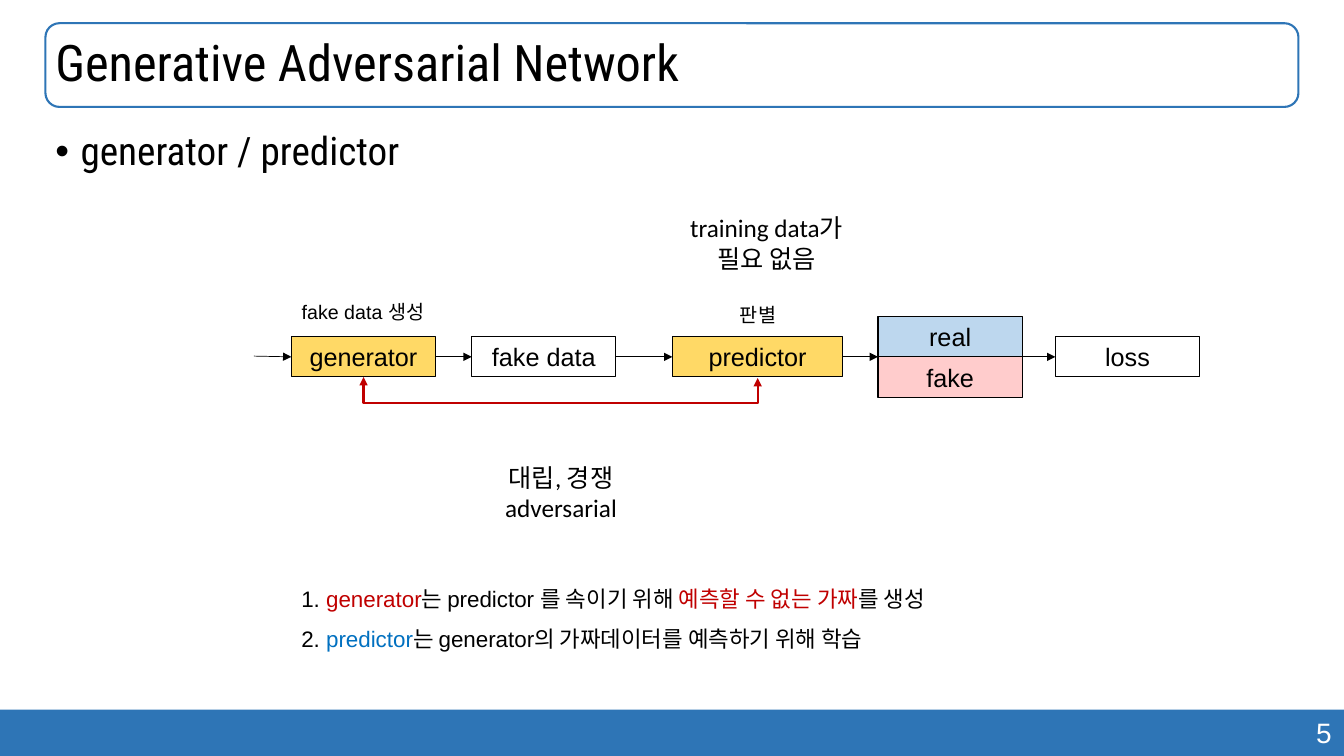
import lxml.etree
import pptx
import pptx.util
import pptx.dml.color
import pptx.enum.shapes
import pptx.enum.text
import pptx.oxml.ns

RGBColor = pptx.dml.color.RGBColor
BLACK = RGBColor(0x00, 0x00, 0x00)
WHITE = RGBColor(0xFF, 0xFF, 0xFF)
NAVY = RGBColor(0x2E, 0x75, 0xB6)
GOLD = RGBColor(0xFF, 0xD9, 0x66)
SKY = RGBColor(0xBD, 0xD7, 0xEE)
PINK = RGBColor(0xFF, 0xCC, 0xCC)
RED = RGBColor(0xC0, 0x00, 0x00)
BLUE = RGBColor(0x00, 0x70, 0xC0)

SHAPE = pptx.enum.shapes.MSO_SHAPE
LINK = pptx.enum.shapes.MSO_CONNECTOR
ALIGN = pptx.enum.text.PP_ALIGN
ANCHOR = pptx.enum.text.MSO_ANCHOR
TOP, LEFT, BOTTOM, RIGHT = range(4)

# The slide is a grid of 100 columns by 100 rows
WIDE = pptx.util.Inches(13.333)
HIGH = pptx.util.Inches(7.5)


def col(n):
    return int(WIDE * n / 100)


def row(n):
    return int(HIGH * n / 100)


def place(box):
    x, y, w, h = box
    return col(x), row(y), col(w), row(h)


def add_mark(parent, tag, **attrs):
    lxml.etree.SubElement(parent, pptx.oxml.ns.qn(tag), attrs)


def write(frame, paras, size=18, font="Arial", color=BLACK, align=ALIGN.LEFT,
          anchor=ANCHOR.TOP, space=None, bullet=None):
    """Each paragraph is a string or a list of (text, color) runs."""
    frame.word_wrap = True
    frame.vertical_anchor = anchor
    for i, runs in enumerate(paras):
        para = frame.add_paragraph() if i else frame.paragraphs[0]
        if bullet:
            props = para._p.get_or_add_pPr()
            props.set("marL", str(pptx.util.Inches(0.25)))
            props.set("indent", str(-pptx.util.Inches(0.25)))
            add_mark(props, "a:buFont", typeface="Arial")
            add_mark(props, "a:buChar", char=bullet)
        para.alignment = align
        if space:
            para.line_spacing = space
        for text, tint in [(runs, color)] if isinstance(runs, str) else runs:
            run = para.add_run()
            run.text = text
            run.font.size = pptx.util.Pt(size)
            run.font.name = font
            run.font.color.rgb = tint


def add_text(slide, box, *paras, **look):
    write(slide.shapes.add_textbox(*place(box)).text_frame, paras, **look)


def add_box(slide, box, kind=SHAPE.RECTANGLE, fill=None, line=None, width=0.75):
    shape = slide.shapes.add_shape(kind, *place(box))
    shape.shadow.inherit = False
    if fill is None:
        shape.fill.background()
    else:
        shape.fill.solid()
        shape.fill.fore_color.rgb = fill
    if line is None:
        shape.line.fill.background()
    else:
        shape.line.color.rgb = line
        shape.line.width = pptx.util.Pt(width)
    return shape


def add_node(slide, box, text, fill=None):
    node = add_box(slide, box, fill=fill, line=BLACK)
    write(node.text_frame, [text], align=ALIGN.CENTER)
    return node


def add_link(slide, start, end, kind=LINK.STRAIGHT, color=BLACK, width=0.5, both=False):
    """Each end is a (shape, side) pair or a (column, row) point."""
    link = slide.shapes.add_connector(kind, 0, 0, 0, 0)
    if isinstance(start[0], (int, float)):
        link.begin_x, link.begin_y = col(start[0]), row(start[1])
    else:
        link.begin_connect(*start)
    if isinstance(end[0], (int, float)):
        link.end_x, link.end_y = col(end[0]), row(end[1])
    else:
        link.end_connect(*end)
    link.line.color.rgb = color
    link.line.width = pptx.util.Pt(width)
    outline = link.line._get_or_add_ln()
    if both:
        add_mark(outline, "a:headEnd", type="triangle")
    add_mark(outline, "a:tailEnd", type="triangle")
    add_mark(link._element.spPr, "a:effectLst")
    return link


def add_loop(slide, first, last):
    """Join the bottoms of two nodes with a U-shaped double arrow."""
    loop = add_link(slide, (first, BOTTOM), (last, BOTTOM), LINK.ELBOW, RED, 1.5, True)
    span = last.left + last.width // 2 - first.left - first.width // 2
    mid = first.left + first.width // 2 + span // 2
    base = first.top + first.height
    thin, drop = pptx.util.Inches(0.01), pptx.util.Inches(0.26)
    # A quarter turn makes the bend run below both ends
    loop.left, loop.top = mid - thin // 2, base + thin // 2 - span // 2
    loop.width, loop.height = thin, span
    frame = loop._element.spPr.find(pptx.oxml.ns.qn("a:xfrm"))
    for flip in ("flipH", "flipV"):
        frame.attrib.pop(flip, None)
    frame.set("rot", str(270 * 60000))
    frame.set("flipH", "1")
    geom = loop._element.spPr.find(pptx.oxml.ns.qn("a:prstGeom"))
    guides = geom.find(pptx.oxml.ns.qn("a:avLst"))
    add_mark(guides, "a:gd", name="adj1", fmla=f"val {100000 * drop // thin}")


def draw_foot(slide, box):
    x, y, w, h = box
    add_box(slide, box, fill=NAVY)
    add_text(slide, (x + 70.58, y + 0.13, w - 70.75, h - 0.26), "5",
             size=20, color=WHITE, align=ALIGN.RIGHT)


def draw_head(slide, box):
    add_box(slide, box, SHAPE.ROUNDED_RECTANGLE, line=NAVY, width=1.5)
    add_text(slide, box, "Generative Adversarial Network", size=36,
             font="Roboto Condensed", anchor=ANCHOR.MIDDLE, space=0.9)


def draw_body(slide, box):
    add_text(slide, box, "generator / predictor", size=28,
             font="Roboto Condensed", space=0.9, bullet="•")


def draw_flow(slide, box):
    x, y, w, h = box
    wide, tall = 10.73, 5.33
    line = y + 17.07
    mid = line + tall / 2

    # Nodes
    maker = add_node(slide, (x + 2.78, line, wide, tall), "generator", GOLD)
    data = add_node(slide, (x + 16.2, line, wide, tall), "fake data")
    judge = add_node(slide, (x + 31.13, line, 12.68, tall), "predictor", GOLD)
    split = x + 46.43
    add_node(slide, (split, mid - tall, wide, tall), "real", SKY)
    add_node(slide, (split, mid, wide, tall), "fake", PINK)
    loss = add_node(slide, (x + w - wide, line, wide, tall), "loss")

    # Arrows
    for start, end in [((x, mid - 0.1), (maker, LEFT)),
                       ((maker, RIGHT), (data, LEFT)),
                       ((data, RIGHT), (judge, LEFT)),
                       ((judge, RIGHT), (split, mid)),
                       ((split + wide, mid), (loss, LEFT))]:
        add_link(slide, start, end)
    add_loop(slide, maker, judge)

    # Captions and notes
    for left, top, text in [(0.98, 11.6, "fake data 생성"), (30.38, 12, "판별")]:
        add_text(slide, (x + left, y + top, 14.25, 4.53), text,
                 size=14, align=ALIGN.CENTER)
    for left, top, text in [(31.2, 0, ["training data가 필요 없음"]),
                            (15.9, h - 9.47, ["대립, 경쟁", "adversarial"])]:
        add_text(slide, (x + left, y + top, 13.88, 9.47), *text,
                 font="Calibri", align=ALIGN.CENTER)


def draw_rules(slide, box):
    add_text(slide, box,
             [("1. ", BLACK), ("generator", RED),
              ("는 predictor 를 속이기 위해 ", BLACK),
              ("예측할 수 없는 가짜", RED), ("를 생성", BLACK)],
             [("2. ", BLACK), ("predictor", BLUE),
              ("는 generator의 가짜데이터를 예측하기 위해 학습", BLACK)],
             size=16, space=1.5)


def main():
    deck = pptx.Presentation()
    deck.slide_width, deck.slide_height = WIDE, HIGH
    slide = deck.slides.add_slide(deck.slide_layouts[6])
    draw_foot(slide, (0, 93.87, 100, 6.13))
    draw_head(slide, (3.38, 3.07, 93.23, 11.07))
    draw_body(slide, (3.38, 16.8, 93.23, 73.73))
    draw_flow(slide, (18.9, 27.47, 70.36, 42.53))
    draw_rules(slide, (21.68, 74.93, 77.63, 11.47))
    deck.save("out.pptx")


if __name__ == "__main__":
    main()
